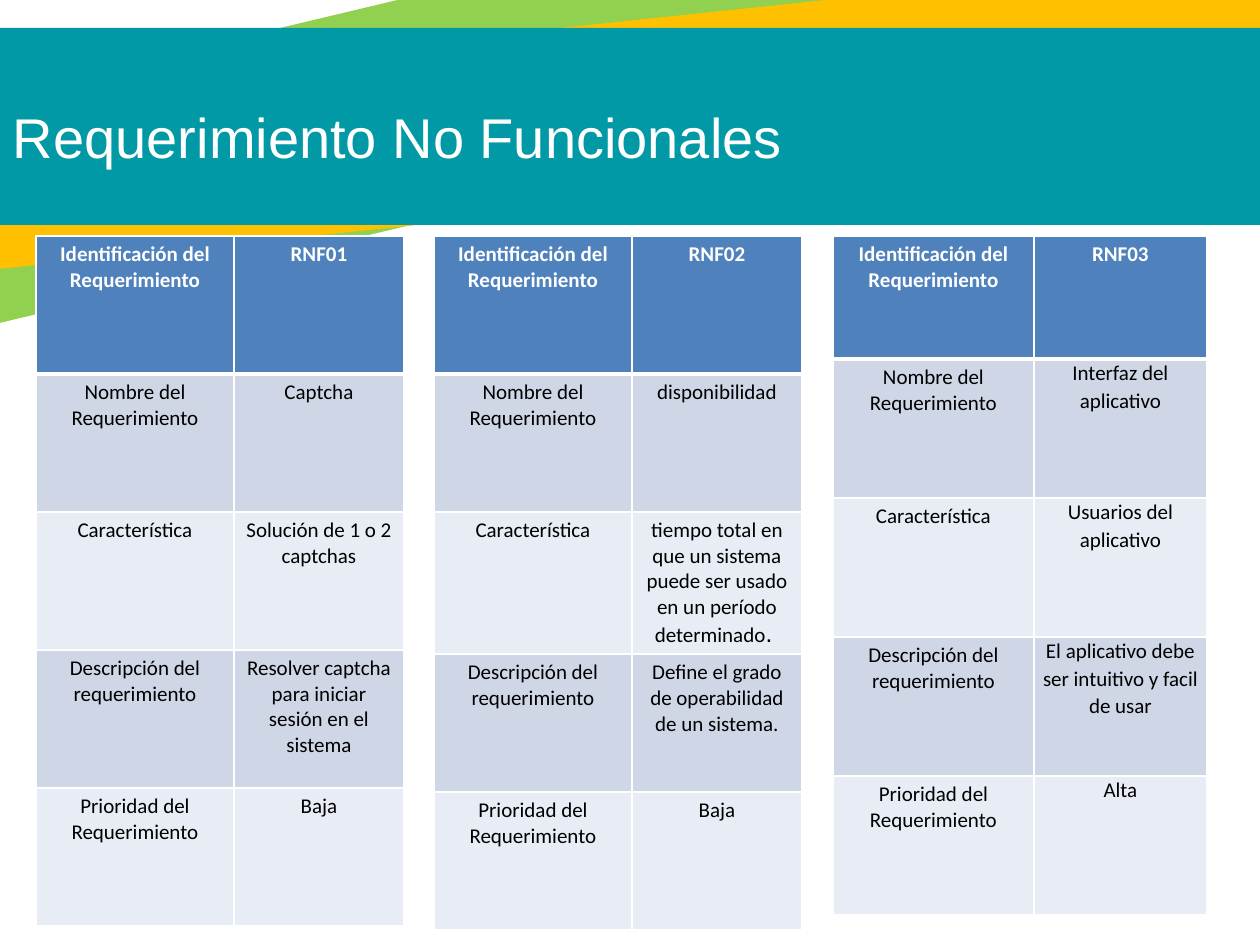
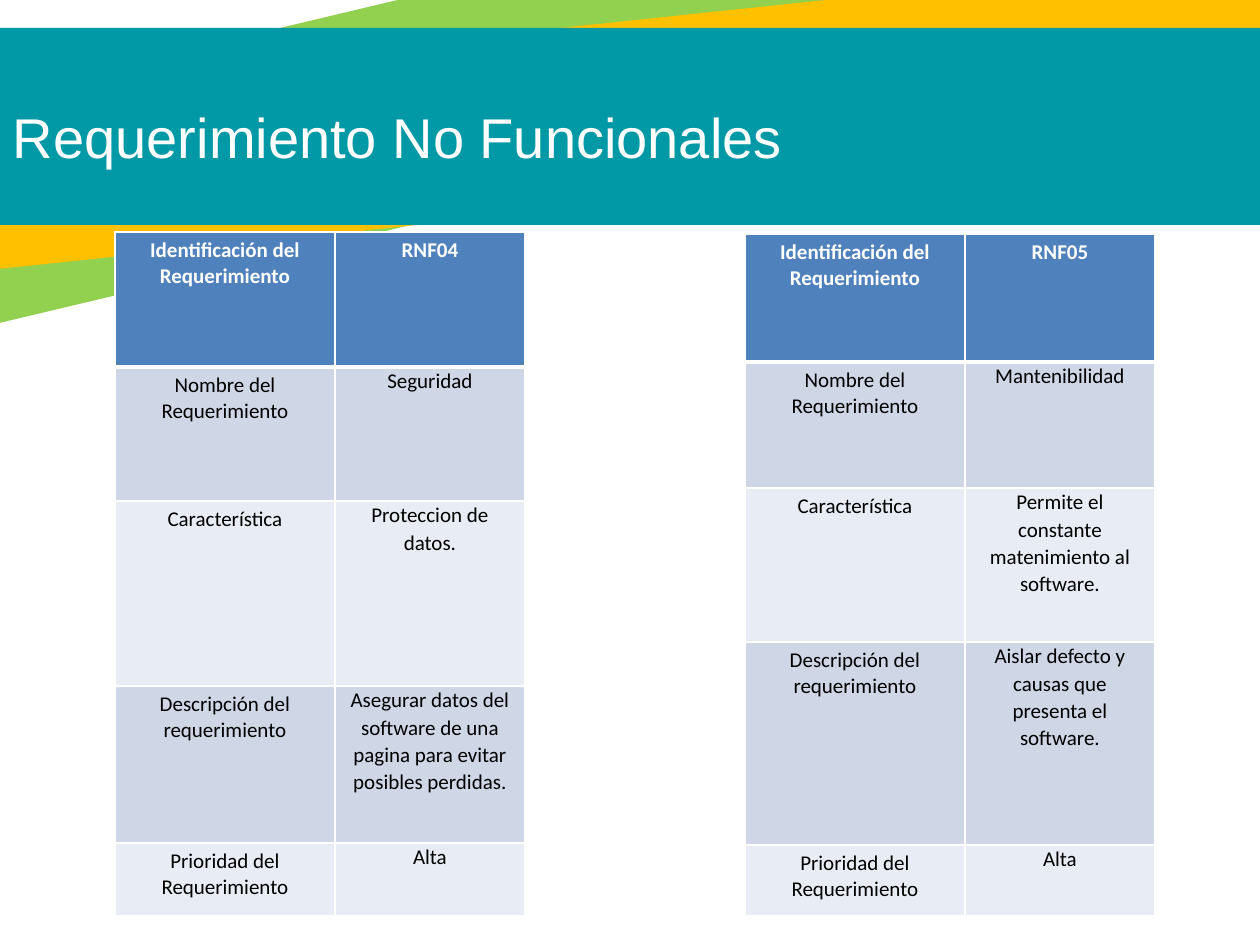
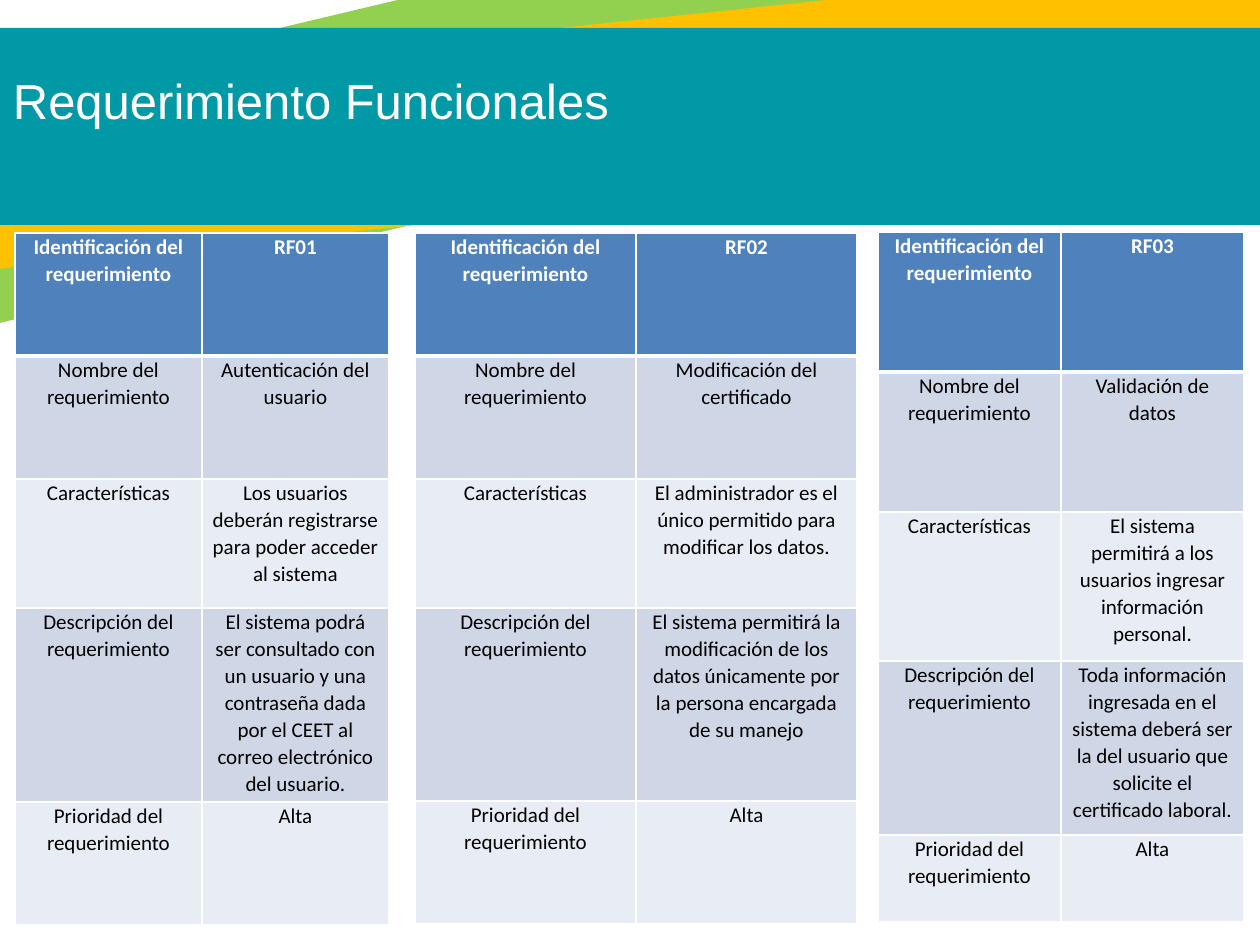
from dataclasses import dataclass

from lxml import etree
from pptx import Presentation
from pptx import util as u
from pptx.dml.color import RGBColor
from pptx.enum import shapes, text
from pptx.oxml import ns

EMU_PER_PX = 914400 / 126
WHITE, BLACK = "FFFFFF", "000000"
GREEN, YELLOW, TEAL = "92D050", "FFC000", "0099A5"
HEADER, BAND_DARK, BAND_LIGHT = "4F81BD", "CFD7E7", "E8ECF4"
HEAD_FONT, BODY_FONT = "Arial", "Calibri"


@dataclass(frozen=True)
class Band:
    x: int
    y: int
    w: int
    h: int
    color: str
    rotation: float = 0


@dataclass(frozen=True)
class Title:
    words: str
    y: int
    w: int
    h: int
    size: int
    pad_top: int
    pad_bottom: int
    anchor: text.MSO_ANCHOR


@dataclass(frozen=True)
class Fit:
    """Cell margins and line spacing."""
    side: int
    edge: int
    spacing: float | None = None


LOOSE = Fit(12, 6)
SNUG = Fit(9, 0, 1.07)
COMPACT = Fit(9, 0, 1.06)


@dataclass(frozen=True)
class Requirement:
    x: int
    y: int
    cols: tuple[int, int]
    rows: tuple[int, ...]
    values: tuple[str, ...]
    labels: tuple[str, ...]
    label_fit: Fit
    value_fit: Fit


BANDS = (
    Band(-316, -23, 1646, 222, GREEN, 346.6),
    Band(-139, 25, 1465, 181, YELLOW, 354),
    Band(-134, 28, 1465, 197, TEAL),
)

NON_FUNCTIONAL = Title("Requerimiento No Funcionales", 88, 922, 95, 32, 13, 13,
                       text.MSO_ANCHOR.BOTTOM)
FUNCTIONAL = Title("Requerimiento Funcionales", 60, 845, 131, 28, 10, 6,
                   text.MSO_ANCHOR.TOP)

RNF_LABELS = ("Identificación del Requerimiento", "Nombre del Requerimiento",
              "Característica", "Descripción del requerimiento",
              "Prioridad del Requerimiento")
RF_LABELS = ("Identificación del requerimiento", "Nombre del requerimiento",
             "Características", "Descripción del requerimiento",
             "Prioridad del requerimiento")

# A value written as "text|ending" sets its ending in the larger heading font.
SLIDES = (
    (NON_FUNCTIONAL, (
        Requirement(36, 236, (198, 170), (138,) * 5, (
            "RNF01", "Captcha", "Solución de 1 o 2 captchas",
            "Resolver captcha para iniciar sesión en el sistema", "Baja",
        ), RNF_LABELS, LOOSE, LOOSE),
        Requirement(833, 236, (201, 173), (123,) + (139,) * 4, (
            "RNF03", "Interfaz del aplicativo", "Usuarios del aplicativo",
            "El aplicativo debe ser intuitivo y facil de usar", "Alta",
        ), RNF_LABELS, LOOSE, SNUG),
        Requirement(434, 236, (198, 170), (138,) * 5, (
            "RNF02", "disponibilidad",
            "tiempo total en que un sistema puede ser usado en un período determinado|. ",
            "Define el grado de operabilidad de un sistema.", "Baja",
        ), RNF_LABELS, LOOSE, LOOSE),
    )),
    (NON_FUNCTIONAL, (
        Requirement(115, 232, (220, 190), (135, 134, 185, 157, 73), (
            "RNF04", "Seguridad", "Proteccion de datos.",
            "Asegurar datos del software de una pagina para evitar posibles perdidas.",
            "Alta",
        ), RNF_LABELS, LOOSE, SNUG),
        Requirement(745, 234, (220, 190), (128, 126, 154, 203, 71), (
            "RNF05", "Mantenibilidad",
            "Permite el constante matenimiento al software.",
            "Aislar defecto y causas que presenta el software.", "Alta",
        ), RNF_LABELS, LOOSE, SNUG),
    )),
    (FUNCTIONAL, (
        Requirement(15, 233, (187, 187), (123, 123, 129, 194, 123), (
            "RF01", "Autenticación del usuario",
            "Los usuarios deberán registrarse para poder acceder al sistema",
            "El sistema podrá ser consultado con un usuario y una contraseña dada "
            "por el CEET al correo electrónico del usuario.", "Alta",
        ), RF_LABELS, COMPACT, COMPACT),
        Requirement(415, 233, (221, 221), (123, 123, 129, 193, 123), (
            "RF02", "Modificación del certificado",
            "El administrador es el único permitido para modificar los datos.",
            "El sistema permitirá la modificación de los datos únicamente por la "
            "persona encargada de su manejo", "Alta",
        ), RF_LABELS, COMPACT, COMPACT),
        Requirement(878, 232, (183, 183), (140, 140, 149, 174, 87), (
            "RF03", "Validación de datos",
            "El sistema permitirá a los usuarios ingresar información personal.",
            "Toda información ingresada en el sistema deberá ser la del usuario "
            "que solicite el certificado laboral.", "Alta",
        ), RF_LABELS, COMPACT, COMPACT),
    )),
)


def px(n: int) -> u.Emu:
    return u.Emu(round(n * EMU_PER_PX))


def paint(color_format, value: str) -> None:
    color_format.rgb = RGBColor.from_string(value)


def set_attrs(obj, values: dict) -> None:
    for name, value in values.items():
        setattr(obj, name, value)


def add_run(p, words: str, font: str, size: int, color: str, bold: bool = False) -> None:
    r = p.add_run()
    r.text = words
    set_attrs(r.font, {"name": font, "size": u.Pt(size), "bold": bold})
    paint(r.font.color, color)


def add_band(s, band: Band) -> None:
    sp = s.shapes.add_shape(shapes.MSO_SHAPE.RECTANGLE,
                            *map(px, (band.x, band.y, band.w, band.h)))
    sp.rotation = band.rotation
    sp.shadow.inherit = False
    sp.fill.solid()
    paint(sp.fill.fore_color, band.color)
    sp.line.fill.background()


def add_title(s, title: Title) -> None:
    tf = s.shapes.add_textbox(*map(px, (0, title.y, title.w, title.h))).text_frame
    set_attrs(tf, {
        "word_wrap": True, "vertical_anchor": title.anchor,
        "margin_left": px(13), "margin_right": px(13),
        "margin_top": px(title.pad_top), "margin_bottom": px(title.pad_bottom),
    })
    add_run(tf.paragraphs[0], title.words, HEAD_FONT, title.size, WHITE)


def add_borders(cell, row: int) -> None:
    """White borders, with a thick rule between the header and the body."""
    widths = {"L": 1, "R": 1, "T": 3 if row == 1 else 1, "B": 3 if row == 0 else 1}
    props = cell._tc.get_or_add_tcPr()
    for side, width in widths.items():
        ln = etree.SubElement(props, ns.qn(f"a:ln{side}"), w=str(u.Pt(width)))
        fill = etree.SubElement(ln, ns.qn("a:solidFill"))
        etree.SubElement(fill, ns.qn("a:srgbClr"), val=WHITE)


def fill_cell(cell, row: int, words: str, fit: Fit) -> None:
    add_borders(cell, row)
    cell.fill.solid()
    band = BAND_DARK if row % 2 else BAND_LIGHT
    paint(cell.fill.fore_color, band if row else HEADER)
    set_attrs(cell, {
        "margin_left": px(fit.side), "margin_right": px(fit.side),
        "margin_top": px(fit.edge), "margin_bottom": px(fit.edge),
    })
    p = cell.text_frame.paragraphs[0]
    set_attrs(p, {"alignment": text.PP_ALIGN.CENTER, "line_spacing": fit.spacing})
    main, _, ending = words.partition("|")
    color = BLACK if row else WHITE
    add_run(p, main, BODY_FONT, 12, color, bold=row == 0)
    if ending:
        add_run(p, ending, HEAD_FONT, 14, color)


def add_requirement(s, req: Requirement) -> None:
    table = s.shapes.add_table(
        len(req.rows), len(req.cols), px(req.x), px(req.y),
        px(sum(req.cols)), px(sum(req.rows))).table
    for col, width in zip(table.columns, req.cols):
        col.width = px(width)
    for i, (height, label, value) in enumerate(zip(req.rows, req.labels, req.values)):
        table.rows[i].height = px(height)
        fill_cell(table.cell(i, 0), i, label, req.label_fit)
        fill_cell(table.cell(i, 1), i, value, req.value_fit if i else req.label_fit)


def main() -> None:
    prs = Presentation()
    set_attrs(prs, {"slide_width": px(1260), "slide_height": px(945)})
    for title, requirements in SLIDES:
        s = prs.slides.add_slide(prs.slide_layouts[6])
        for band in BANDS:
            add_band(s, band)
        add_title(s, title)
        for req in requirements:
            add_requirement(s, req)
    prs.save("out.pptx")


if __name__ == "__main__":
    main()
